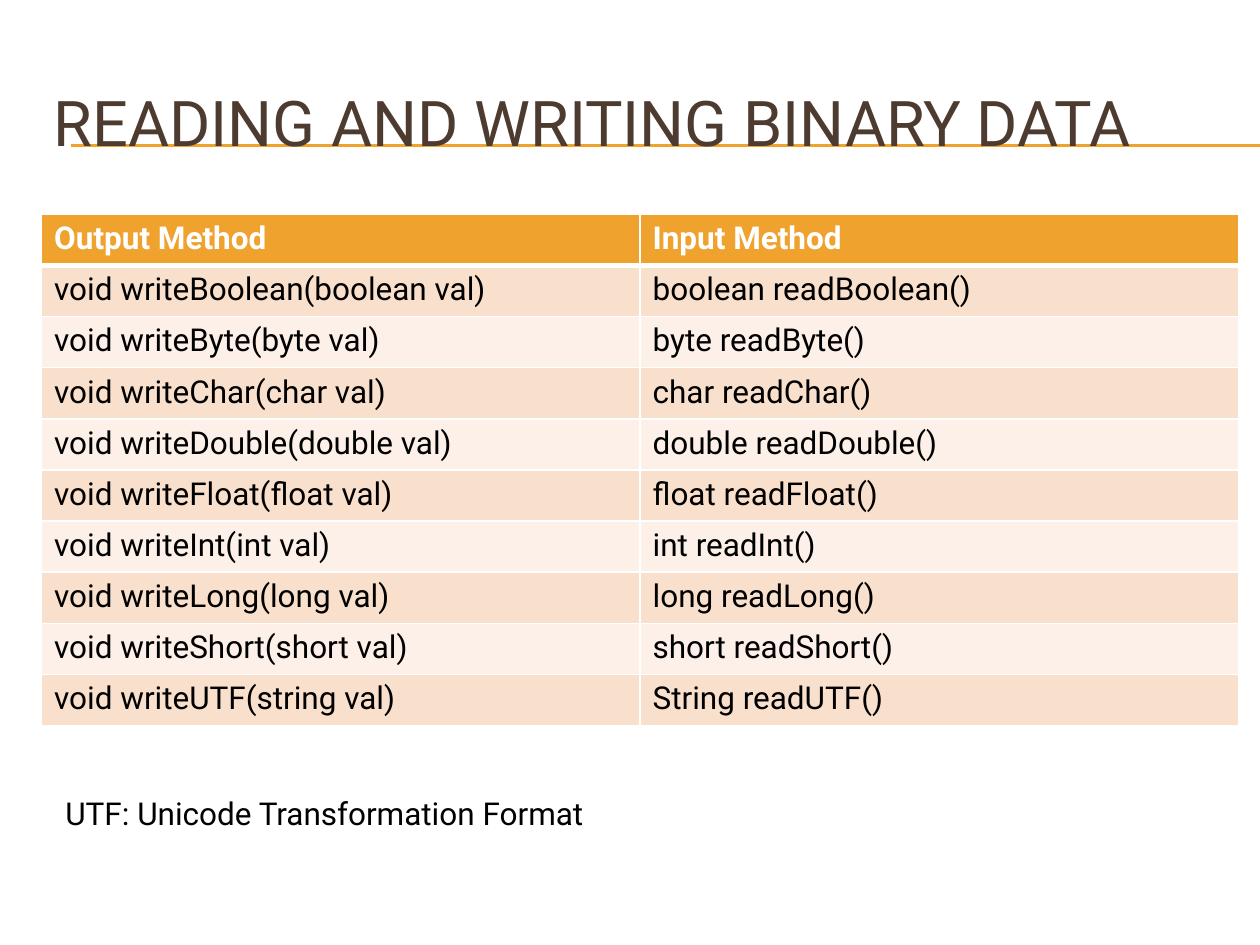
from dataclasses import dataclass

from lxml import etree
from pptx import Presentation
from pptx.dml.color import RGBColor
from pptx.enum.shapes import MSO_CONNECTOR
from pptx.enum.text import MSO_ANCHOR
from pptx.oxml.ns import qn
from pptx.util import Inches, Pt

STRAIGHT = MSO_CONNECTOR.STRAIGHT
MIDDLE, TOP = MSO_ANCHOR.MIDDLE, MSO_ANCHOR.TOP
WIDE, HIGH = 10, 7.5
LEFT, SPAN = 0.33, 9.5


@dataclass(frozen=True)
class Theme:
    font: str = "Roboto"
    gold: str = "F0A22E"
    brown: str = "4E3B30"
    black: str = "000000"
    white: str = "FFFFFF"
    bands: tuple = ("F9E0CD", "FCF0E8")
    title: int = 36
    body: int = 18
    rule: float = 0.75
    thin: int = 1
    thick: int = 3


THEME = Theme()
HEAD = ("Output Method", "Input Method")
# Name in the method, type written, type read
TYPES = [(kind.title(), kind, kind) for kind in
         "boolean byte char double float int long short".split()]
TYPES.append(("UTF", "string", "String"))


def color(code):
    return RGBColor.from_string(code)


def write(frame, text, size, ink, bold=False):
    run = frame.paragraphs[0].add_run()
    run.text = text
    run.font.color.rgb = color(ink)
    form = {"name": THEME.font, "size": Pt(size), "bold": bold}
    for key, value in form.items():
        setattr(run.font, key, value)


def add_text(slide, box, text, size, ink, anchor=TOP):
    frame = slide.shapes.add_textbox(*map(Inches, box)).text_frame
    form = {"word_wrap": True, "vertical_anchor": anchor}
    for key, value in form.items():
        setattr(frame, key, value)
    write(frame, text, size, ink)


def add_rule(slide, y):
    """Draw a line from the left margin to the slide's right edge."""
    ends = map(Inches, (0.56, y, WIDE, y))
    rule = slide.shapes.add_connector(STRAIGHT, *ends)
    rule.line.color.rgb = color(THEME.gold)
    rule.line.width = Pt(THEME.rule)
    etree.SubElement(rule._element.spPr, qn("a:effectLst"))


def edge(cell, widths):
    """Add white borders; this must come before the cell's fill."""
    props = cell._tc.get_or_add_tcPr()
    for side, width in widths.items():
        line = etree.SubElement(props, qn(f"a:ln{side}"), w=str(Pt(width)))
        fill = etree.SubElement(line, qn("a:solidFill"))
        etree.SubElement(fill, qn("a:srgbClr"), val=THEME.white)


def style(cell, row):
    thin, thick = THEME.thin, THEME.thick
    edge(cell, {"L": thin, "R": thin,
                "T": thick if row == 1 else thin,
                "B": thick if row == 0 else thin})
    cell.fill.solid()
    back = THEME.bands[(row - 1) % 2] if row else THEME.gold
    cell.fill.fore_color.rgb = color(back)


def add_grid(slide, rows, box):
    frame = slide.shapes.add_table(len(rows), len(rows[0]), *map(Inches, box))
    for r, row in enumerate(rows):
        for c, text in enumerate(row):
            cell = frame.table.cell(r, c)
            style(cell, r)
            ink = THEME.black if r else THEME.white
            write(cell.text_frame, text, THEME.body, ink, bold=r == 0)


def main():
    deck = Presentation()
    deck.slide_width, deck.slide_height = Inches(WIDE), Inches(HIGH)
    slide = deck.slides.add_slide(deck.slide_layouts[6])
    for y in (1.15, 1.16):
        add_rule(slide, y)
    add_text(slide, (LEFT, 0.5, SPAN, 0.92), "READING AND WRITING BINARY DATA",
             THEME.title, THEME.brown, MIDDLE)
    calls = [(f"void write{name}({put} val)", f"{got} read{name}()")
             for name, put, got in TYPES]
    add_grid(slide, [HEAD, *calls], (LEFT, 1.7, SPAN, 4.06))
    add_text(slide, (0.42, 6.25, 4.58, 0.42),
             "UTF: Unicode Transformation Format", THEME.body, THEME.black)
    deck.save("out.pptx")


if __name__ == "__main__":
    main()
